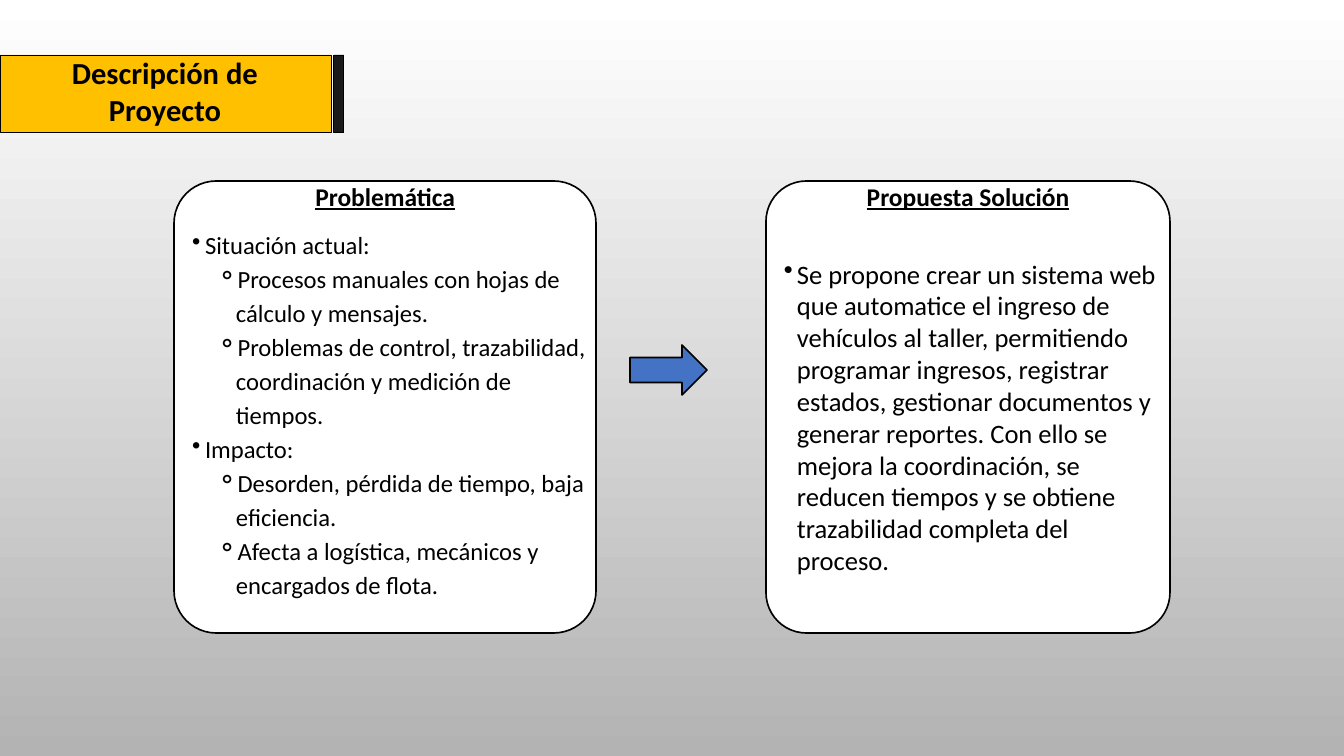
from lxml import etree
from pptx import Presentation
from pptx import util as u
from pptx.dml.color import RGBColor
from pptx.enum import shapes, text
from pptx.oxml import ns

PX = 914400 / 67.2
BLACK = RGBColor(0x00, 0x00, 0x00)
WHITE = RGBColor(0xFF, 0xFF, 0xFF)
GREY = RGBColor(0xB3, 0xB3, 0xB3)
CHARCOAL = RGBColor(0x1A, 0x1A, 0x1A)
AMBER = RGBColor(0xFF, 0xC0, 0x00)
BLUE = RGBColor(0x44, 0x72, 0xC4)
FONT = "Calibri"
PANEL_TOP, PANEL_HEIGHT = 181, 452
BULLETS = {1: ("•", 27, -13), 2: ("⚬", 58, -19)}


def px(*lengths):
    return [u.Emu(round(length * PX)) for length in lengths]


def write(frame, words, size, spacing, level=0, before=0, underline=False):
    line = frame.paragraphs[0]
    if line.runs:
        line = frame.add_paragraph()
    line.line_spacing = u.Pt(spacing)
    if before:
        line.space_before = u.Pt(before)
    if level:
        mark, margin, indent = BULLETS[level]
        line.level = level
        line.alignment = text.PP_ALIGN.LEFT
        props = line._p.get_or_add_pPr()
        props.set("marL", str(px(margin)[0]))
        props.set("indent", str(px(indent)[0]))
        etree.SubElement(props, ns.qn("a:buChar")).set("char", mark)
    else:
        line.alignment = text.PP_ALIGN.CENTER
    run = line.add_run()
    run.text = words
    run.font.name = FONT
    run.font.size = u.Pt(size)
    run.font.bold = level == 0
    run.font.underline = underline
    run.font.color.rgb = BLACK


deck = Presentation()
deck.slide_width, deck.slide_height = px(1344, 756)
slide = deck.slides.add_slide(deck.slide_layouts[6])

backdrop = slide.background.fill
backdrop.gradient()
backdrop.gradient_angle = 270
for stop, color, position in zip(backdrop.gradient_stops, (WHITE, GREY), (0, 1)):
    stop.color.rgb = color
    stop.position = position

panels = [
    (174, 422, "Problemática", 26.4, 36.4, 15.3, [
        (1, "Situación actual:"),
        (2, "Procesos manuales con hojas de cálculo y mensajes."),
        (2, "Problemas de control, trazabilidad, coordinación y medición de tiempos."),
        (1, "Impacto:"),
        (2, "Desorden, pérdida de tiempo, baja eficiencia."),
        (2, "Afecta a logística, mecánicos y encargados de flota."),
    ]),
    (766, 404, "Propuesta Solución", 28.5, 34.1, 49.4, [
        (1, "Se propone crear un sistema web que automatice el ingreso de vehículos "
            "al taller, permitiendo programar ingresos, registrar estados, gestionar "
            "documentos y generar reportes. Con ello se mejora la coordinación, se "
            "reducen tiempos y se obtiene trazabilidad completa del proceso."),
    ]),
]

RECTANGLE = shapes.MSO_SHAPE.RECTANGLE
ROUNDED = shapes.MSO_SHAPE.ROUNDED_RECTANGLE
outlines = [
    (RECTANGLE, (0, 55, 331, 78), AMBER, 1),
    (RECTANGLE, (334, 55, 10, 78), CHARCOAL, 1),
    (shapes.MSO_SHAPE.RIGHT_ARROW, (630, 345, 77, 50), BLUE, 1.75),
]
for left, width, *_ in panels:
    outlines.append((ROUNDED, (left, PANEL_TOP, width, PANEL_HEIGHT), WHITE, 1.75))

for kind, place, color, weight in outlines:
    part = slide.shapes.add_shape(kind, *px(*place))
    part.shadow.inherit = False
    part.fill.solid()
    part.fill.fore_color.rgb = color
    part.line.color.rgb = BLACK
    part.line.width = u.Pt(weight)
    if kind == ROUNDED:
        part.adjustments[0] = 0.1

title = slide.shapes.add_textbox(*px(7, 54, 316, 79)).text_frame
title.word_wrap = True
title.margin_left = title.margin_right = title.margin_top = title.margin_bottom = 0
for words in ("Descripción de", "Proyecto"):
    write(title, words, 32.7, 39.3)

for left, width, heading, size, spacing, gap, points in panels:
    body = slide.shapes.add_textbox(*px(left, PANEL_TOP - 4, width, PANEL_HEIGHT + 4)).text_frame
    body.word_wrap = True
    body.margin_left = body.margin_right = body.margin_top = body.margin_bottom = px(4)[0]
    write(body, heading, 27.3, 32.7, underline=True)
    for number, (level, words) in enumerate(points):
        write(body, words, size, spacing, level, 0 if number else gap)

deck.save("out.pptx")
